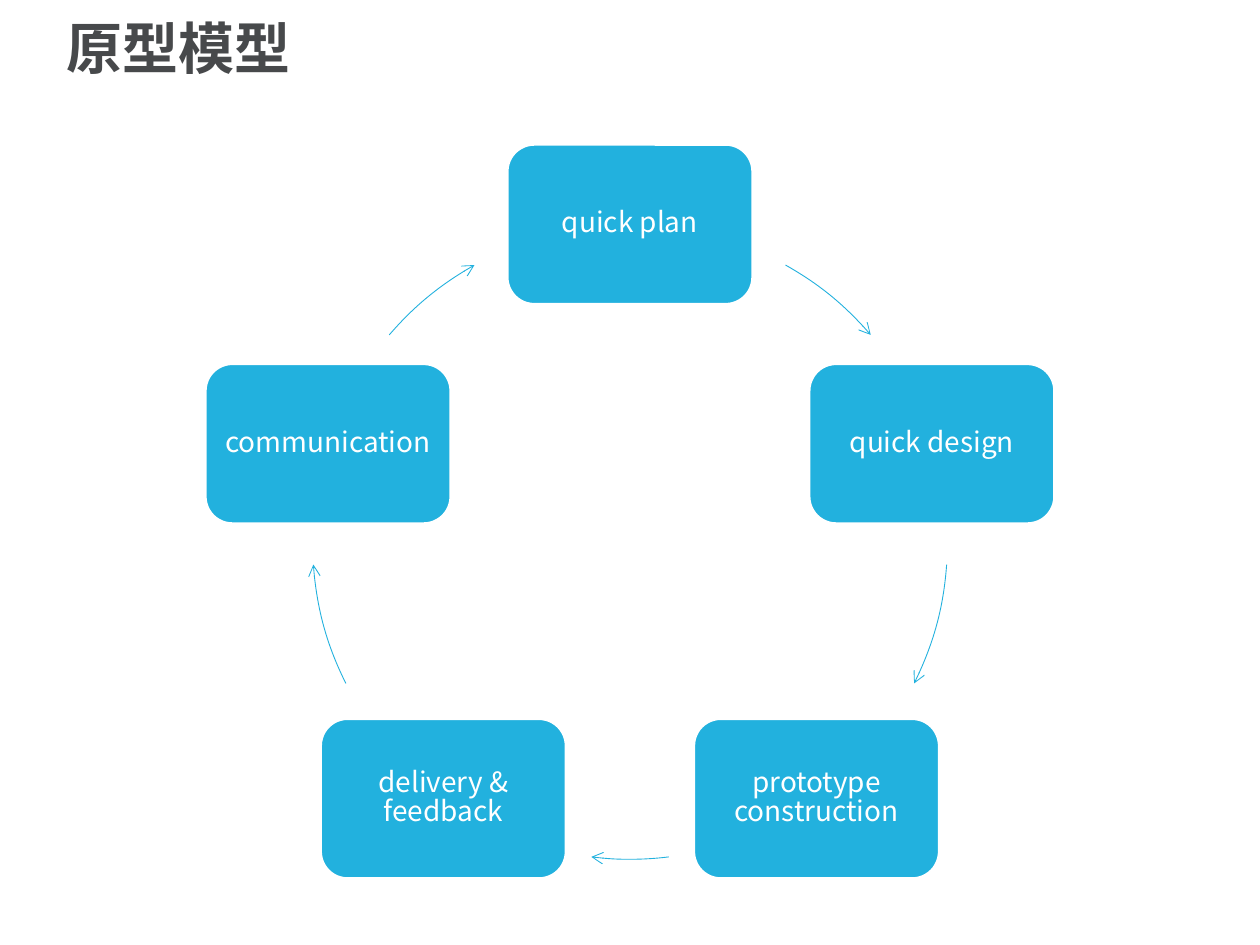
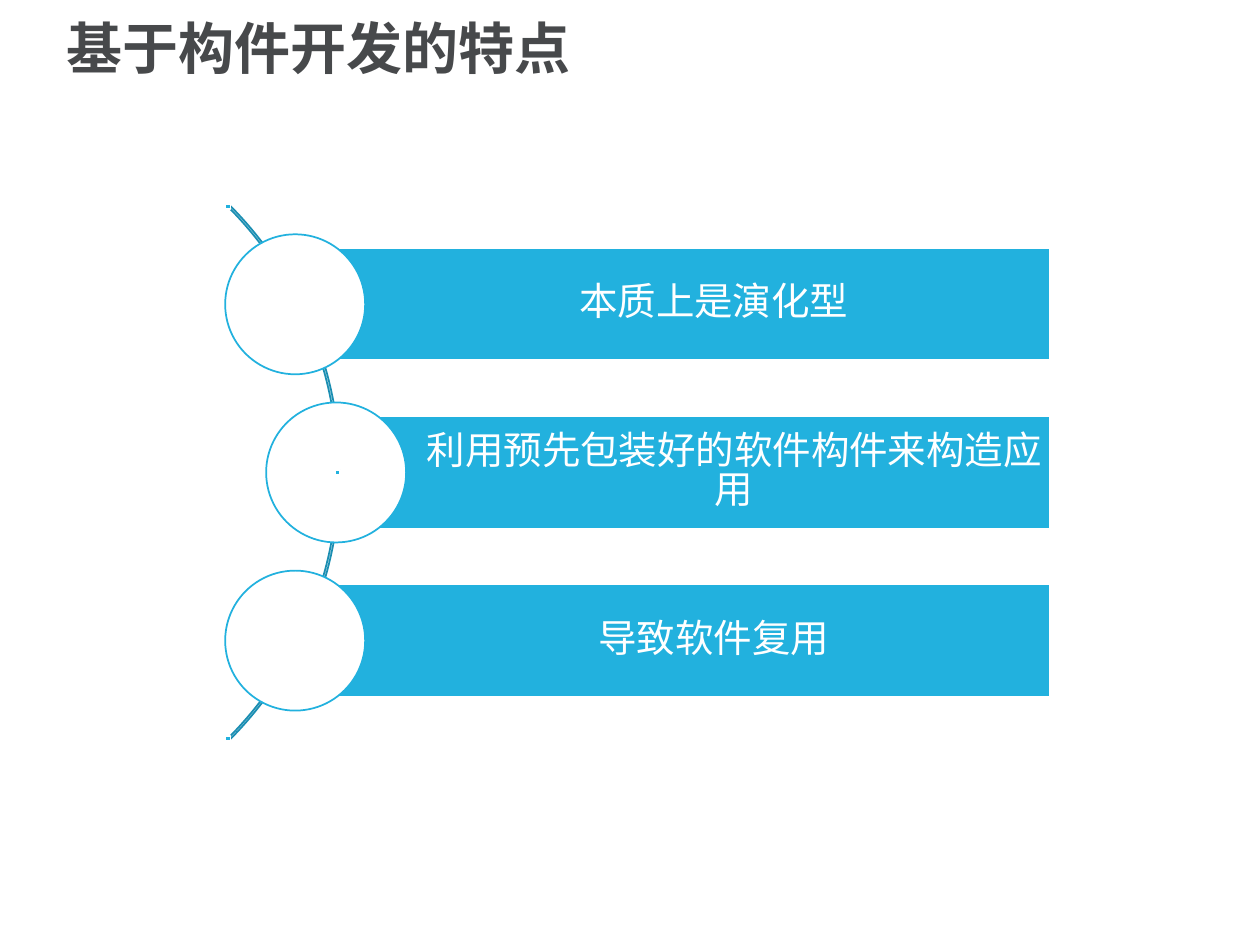
from math import cos, radians, sin

from pptx import Presentation
from pptx.dml.color import RGBColor
from pptx.enum import shapes, text
from pptx.oxml import ns
from pptx.oxml.xmlchemy import OxmlElement
from pptx.util import Pt

BLUE, DEEP, WHITE, GREY = "22B1DE", "1B8EB2", "FFFFFF", "47494B"
SANS = "Noto Sans CJK SC"
KIND = shapes.MSO_SHAPE


def draw(slide, kind, mid, size, fill, edge, thick=1):
    (x, y), (w, h) = mid, size
    shape = slide.shapes.add_shape(kind, Pt(x - w / 2), Pt(y - h / 2), Pt(w), Pt(h))
    shape.shadow.inherit = False
    if fill:
        shape.fill.solid()
        shape.fill.fore_color.rgb = RGBColor.from_string(fill)
    else:
        shape.fill.background()
    shape.line.color.rgb = RGBColor.from_string(edge)
    shape.line.width = Pt(thick)
    return shape


def write(shape, words, size, hue, face, pads, align, gap, bold=False):
    frame = shape.text_frame
    frame.word_wrap = True
    frame.vertical_anchor = text.MSO_ANCHOR.MIDDLE
    frame.margin_left, frame.margin_right = Pt(pads[0]), Pt(pads[1])
    frame.margin_top = frame.margin_bottom = Pt(4)
    para = frame.paragraphs[0]
    para.text = words
    para.alignment = align
    para.line_spacing = gap
    font = para.font
    font.size, font.bold, font.name = Pt(size), bold, face
    font.color.rgb = RGBColor.from_string(hue)
    asian = OxmlElement("a:ea")
    asian.set("typeface", SANS)
    para._p.pPr.find(ns.qn("a:defRPr")).append(asian)


deck = Presentation()
deck.slide_width, deck.slide_height = Pt(720), Pt(540)
pages = []
for name in ("原型模型", "基于构件开发的特点"):
    page = deck.slides.add_slide(deck.slide_layouts[6])
    title = page.shapes.add_textbox(Pt(31), Pt(4.3), Pt(651.6), Pt(50.4))
    write(title, name, 32, GREY, SANS, (7.2, 7.2), text.PP_ALIGN.LEFT, 0.9, True)
    pages.append(page)
cycle, traits = pages

CENTER = text.PP_ALIGN.CENTER
hub, ring = (360, 309.6), 181.4
steps = [
    ("quick plan", 299.33, 319.32),
    ("quick design", 4.11, 26.49),
    ("prototype construction", 82.99, 97.01),
    ("delivery & feedback", 153.51, 175.89),
    ("communication", 220.68, 240.67),
]
for i, (label, start, end) in enumerate(steps):
    turn = radians(72 * i - 90)
    mid = hub[0] + ring * cos(turn), hub[1] + ring * sin(turn)
    box = draw(cycle, KIND.ROUNDED_RECTANGLE, mid, (139.7, 90.8), BLUE, WHITE)
    write(box, label, 16, WHITE, SANS, (3, 3), CENTER, 0.84)
    arc = draw(cycle, KIND.ARC, hub, (2 * ring, 2 * ring), None, BLUE, 0.5)
    arc.adjustments[0], arc.adjustments[1] = start * 0.6, end * 0.6
    tip = OxmlElement("a:tailEnd")
    tip.set("type", "arrow")
    arc._element.spPr.find(ns.qn("a:ln")).append(tip)

axis, pitch, right = 270, 96.1, 600
curve = draw(traits, KIND.BLOCK_ARC, (-22, axis), (432.7, 432.7), None, DEEP)
for i, turn in enumerate((189, 27, 0.003)):
    curve.adjustments[i] = turn
rows = [
    ("本质上是演化型", 168.7),
    ("利用预先包装好的软件构件来构造应用", 192.1),
    ("导致软件复用", 168.7),
]
for i, (label, x) in enumerate(rows):
    y = axis + (i - 1) * pitch
    bar = draw(traits, KIND.RECTANGLE, ((x + right) / 2, y), (right - x, 64), BLUE, WHITE)
    write(bar, label, 22, WHITE, "Calibri", (51, 4), CENTER, 0.84)
    draw(traits, KIND.OVAL, (x, y), (80, 80), WHITE, BLUE)
for i, x in enumerate((130.3, 193, 130.3)):
    draw(traits, KIND.RECTANGLE, (x, axis + (i - 1) * 152), (2.9, 2.9), BLUE, WHITE)

deck.save("out.pptx")
